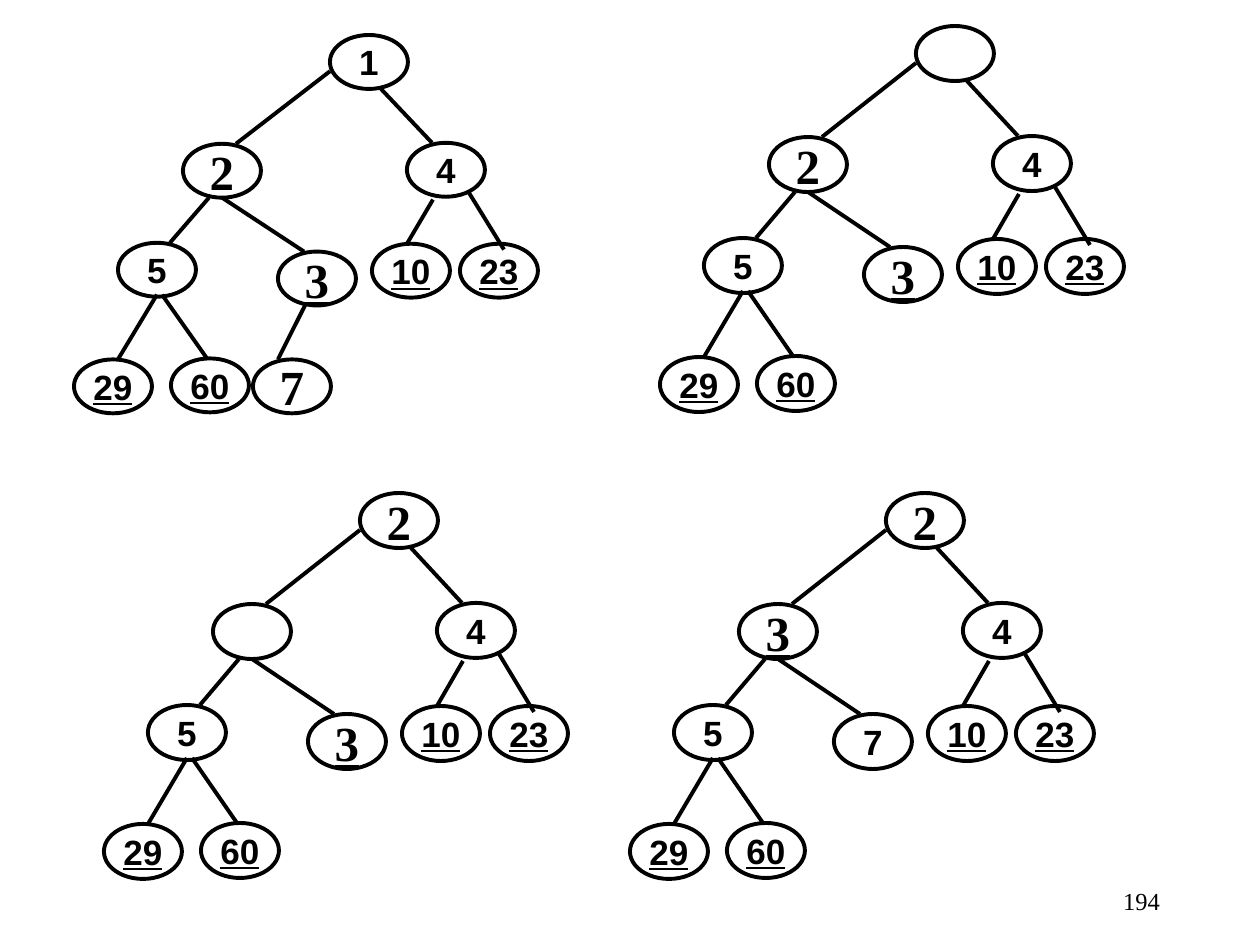
"""Build a slide of four heap trees showing the steps of deleting the minimum."""
from pptx import Presentation
from pptx.dml.color import RGBColor
from pptx.enum.shapes import MSO_CONNECTOR, MSO_SHAPE
from pptx.enum.text import MSO_ANCHOR, PP_ALIGN
from pptx.oxml.ns import qn
from pptx.util import Emu, Pt
from lxml.etree import SubElement

PX = 914400 // 126
BLACK = "000000"
NODE_SIZE = (78, 55)
SANS = ("Arial", 20)
SERIF = ("Times New Roman", 28)

NODES = {
    "five": (-212, 212),
    "right": (77, 110),
    "twenty-three": (130, 213),
    "inner": (-52, 221),
    "left": (-147, 111),
    "root": (0, 0),
    "ten": (42, 213),
    "twenty-nine": (-256, 331),
    "sixty": (-159, 330),
    "last": (-77, 331),
}
EDGES = {
    "left": (0, 37, -94, 111),
    "right": (51, 55, 102, 110),
    "inner": (-108, 166, -26, 221),
    "five": (-121, 166, -160, 212),
    "twenty-nine": (-173, 265, -212, 331),
    "twenty-three": (139, 161, 174, 219),
    "ten": (103, 168, 77, 213),
    "sixty": (-168, 265, -123, 330),
    "last": (-25, 276, -52, 331),
}
FIXED = {
    "five": ("5", SANS),
    "right": ("4", SANS),
    "ten": ("10", SANS),
    "twenty-three": ("23", SANS),
    "twenty-nine": ("29", SANS),
    "sixty": ("60", SANS),
}
ONE, TWO, THREE = ("1", SANS), ("2", SERIF), ("3", SERIF)
SEVEN, MOVED_SEVEN, HOLE = ("7", SERIF), ("7", SANS), ("", SANS)
TREES = [
    (330, 35, 0.98, {"root": ONE, "left": TWO, "inner": THREE, "last": SEVEN}),
    (916, 26, 1, {"root": HOLE, "left": TWO, "inner": THREE}),
    (360, 493, 1, {"root": TWO, "left": HOLE, "inner": THREE}),
    (886, 493, 1, {"root": TWO, "left": THREE, "inner": MOVED_SEVEN}),
]
UNDERLINED = {"3", "10", "23", "29", "60"}


def px(*lengths):
    return [Emu(round(length * PX)) for length in lengths]


def color(code):
    return RGBColor.from_string(code)


def set_line(shape):
    shape.line.color.rgb = color(BLACK)
    shape.line.width = Pt(2.25)


def write(shape, text, style, align, margins):
    frame = shape.text_frame
    frame.word_wrap = True
    frame.vertical_anchor = MSO_ANCHOR.MIDDLE
    frame.margin_left = frame.margin_right = px(margins[0])[0]
    frame.margin_top = frame.margin_bottom = px(margins[1])[0]
    para = frame.paragraphs[0]
    para.text = text
    para.alignment = align
    para.font.name, size = style
    para.font.size = Pt(size)
    para.font.color.rgb = color(BLACK)
    return para


def add_node(shapes, left, top, height, text, style):
    node = shapes.add_shape(MSO_SHAPE.OVAL, *px(left, top, NODE_SIZE[0], height))
    node.shadow.inherit = False
    node.fill.background()
    set_line(node)
    if text:
        para = write(node, text, style, PP_ALIGN.CENTER, (6, 4))
        para.font.bold = True
        if text in UNDERLINED:
            para.font.underline = True


def add_edge(shapes, *ends):
    edge = shapes.add_connector(MSO_CONNECTOR.STRAIGHT, *px(*ends))
    set_line(edge)
    SubElement(edge._element.spPr, qn("a:effectLst"))


def add_tree(page, left, top, stretch, changing):
    shapes = page.shapes.add_group_shape().shapes
    labels = FIXED | changing
    for name, (x, y) in NODES.items():
        if name in labels:
            add_node(shapes, left + x, top + y * stretch,
                     NODE_SIZE[1] * stretch, *labels[name])
    for name, (x1, y1, x2, y2) in EDGES.items():
        if name in labels:
            add_edge(shapes, left + x1, top + y1 * stretch,
                     left + x2, top + y2 * stretch)


def main():
    deck = Presentation()
    deck.slide_width, deck.slide_height = px(1260, 945)
    page = deck.slides.add_slide(deck.slide_layouts[6])
    box = page.shapes.add_textbox(*px(890, 876, 283, 50))
    write(box, "194", ("Times New Roman", 14), PP_ALIGN.RIGHT, (13, 6))
    for tree in TREES:
        add_tree(page, *tree)
    deck.save("out.pptx")


if __name__ == "__main__":
    main()
